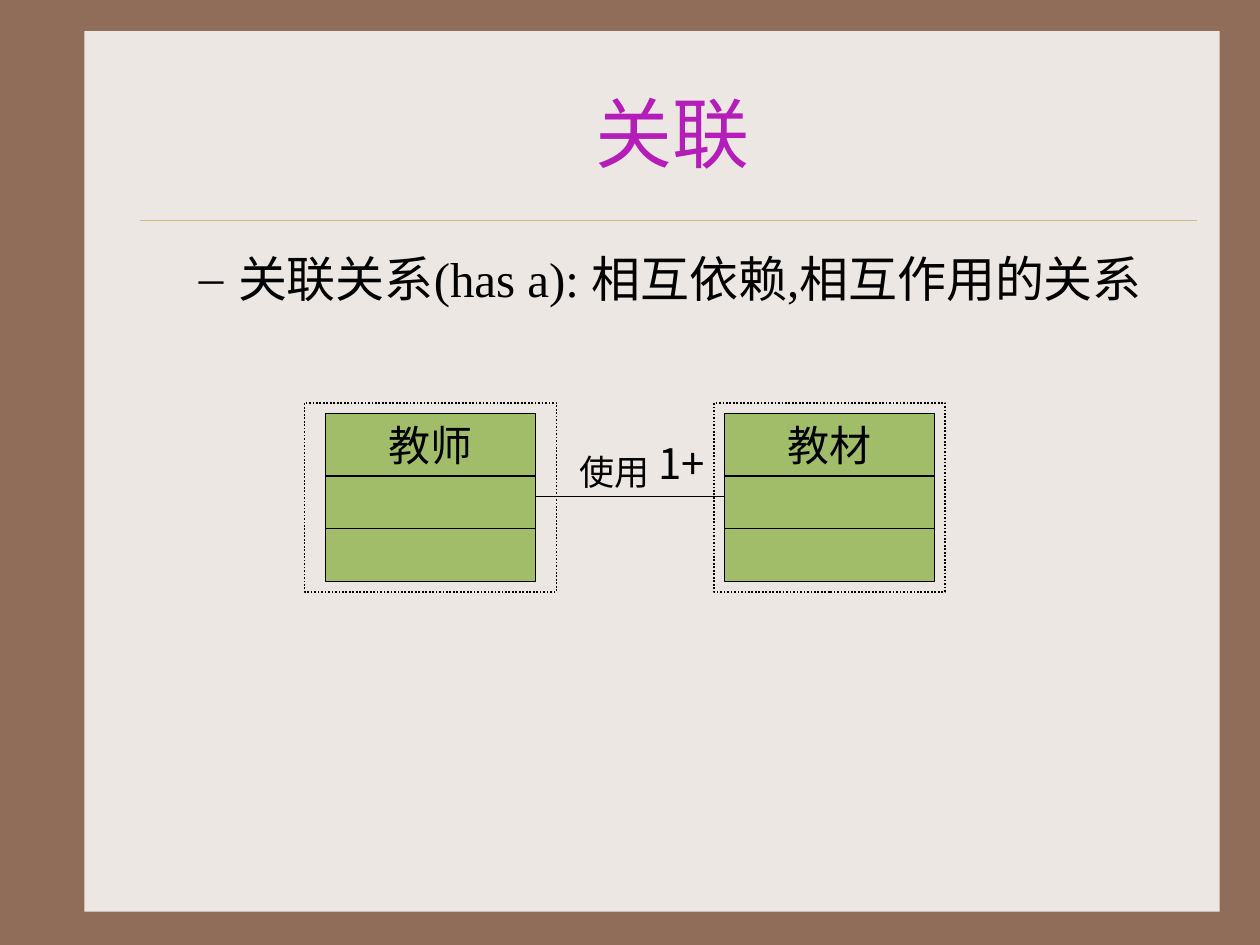
from lxml.etree import SubElement
from pptx import Presentation
from pptx.dml.color import RGBColor
from pptx.enum.dml import MSO_LINE_DASH_STYLE as Dash
from pptx.enum.shapes import MSO_CONNECTOR as Connector, MSO_SHAPE as Shape
from pptx.enum.text import MSO_ANCHOR as Anchor, PP_ALIGN as Align
from pptx.enum.text import MSO_AUTO_SIZE as AutoSize
from pptx.oxml.ns import qn
from pptx.util import Cm, Pt

BROWN = RGBColor(0x90, 0x6D, 0x58)
PAPER = RGBColor(0xED, 0xE7, 0xE3)
SAND = RGBColor(0xCB, 0xBD, 0x83)
GREEN = RGBColor(0xA1, 0xBD, 0x69)
PURPLE = RGBColor(0xB5, 0x1D, 0xB9)
BLACK = RGBColor(0, 0, 0)
SERIF = "Times New Roman"
SANS = "Noto Sans CJK SC"

CLASS_TOP = 8.33
CLASS_WIDTH = 4.23
ROW_HEIGHTS = (1.27, 1.06, 1.06)
FRAME_MARGIN = 0.21


def write(shape, text, size, font=SANS, color=BLACK, align=Align.LEFT):
    shape.text_frame.text = text
    para = shape.text_frame.paragraphs[0]
    para.alignment = align
    span = para.runs[0]
    span.font.size = Pt(size)
    span.font.name = font
    span.font.color.rgb = color
    # Chinese characters take their own font
    SubElement(span.font._element, qn("a:ea"), typeface=SANS)
    return para


def add_box(page, left, top, width, height, fill=None, line=None, weight=0.75):
    box = page.shapes.add_shape(
        Shape.RECTANGLE, Cm(left), Cm(top), Cm(width), Cm(height))
    box.shadow.inherit = False
    if fill is None:
        box.fill.background()
    else:
        box.fill.solid()
        box.fill.fore_color.rgb = fill
    if line is None:
        box.line.fill.background()
    else:
        box.line.color.rgb = line
        box.line.width = Pt(weight)
    return box


def add_text(page, left, top, width, height, text, size, **style):
    box = page.shapes.add_textbox(Cm(left), Cm(top), Cm(width), Cm(height))
    box.text_frame.word_wrap = True
    return box, write(box, text, size, **style)


def add_label(page, left, top, width, height, text, size):
    # A label keeps to one line and grows with its text
    box, _ = add_text(page, left, top, width, height, text, size)
    box.text_frame.word_wrap = False
    box.text_frame.auto_size = AutoSize.SHAPE_TO_FIT_TEXT


def add_line(page, left, right, y, color, weight):
    line = page.shapes.add_connector(
        Connector.STRAIGHT, Cm(left), Cm(y), Cm(right), Cm(y))
    line.line.color.rgb = color
    line.line.width = Pt(weight)
    SubElement(line._element.spPr, qn("a:effectLst"))


def add_dash_bullet(para):
    props = para._p.get_or_add_pPr()
    props.set("marL", str(Cm(2.06)))
    props.set("indent", str(-Cm(0.79)))
    SubElement(props, qn("a:buFont"), typeface=SERIF)
    SubElement(props, qn("a:buChar"), char="–")


def add_class(page, name, left, frame_left, frame_width):
    # Dotted frame around the class
    frame = add_box(page, frame_left, CLASS_TOP - FRAME_MARGIN, frame_width,
                    sum(ROW_HEIGHTS) + 2 * FRAME_MARGIN, line=BLACK, weight=1)
    frame.line.dash_style = Dash.ROUND_DOT

    # Name, attributes and operations
    top = CLASS_TOP
    for label, height in zip((name, "", ""), ROW_HEIGHTS):
        row = add_box(page, left, top, CLASS_WIDTH, height, GREEN, BLACK)
        if label:
            row.text_frame.word_wrap = False
            row.text_frame.vertical_anchor = Anchor.MIDDLE
            write(row, label, 24, align=Align.CENTER)
        top += height


def main():
    deck = Presentation()
    deck.slide_width, deck.slide_height = Cm(25.4), Cm(19.05)
    page = deck.slides.add_slide(deck.slide_layouts[6])

    # Background and rule
    page.background.fill.solid()
    page.background.fill.fore_color.rgb = BROWN
    add_box(page, 1.7, 0.63, 22.89, 17.75, PAPER)
    add_line(page, 2.82, 24.13, 4.44, SAND, 0.25)

    # Title
    title, _ = add_text(page, 2.97, 1.07, 21.16, 3.18, "关联", 44,
                        font=SERIF, color=PURPLE, align=Align.CENTER)
    title.text_frame.vertical_anchor = Anchor.MIDDLE

    # Definition
    _, para = add_text(page, 2.49, 4.88, 22.2, 1.7,
                       "关联关系(has a): 相互依赖,相互作用的关系", 28,
                       font=SERIF)
    para.space_before = Pt(7)
    add_dash_bullet(para)

    # Class diagram
    teacher_left, book_left = 6.56, 14.61
    add_class(page, "教材", book_left, 14.4, 4.65)
    add_class(page, "教师", teacher_left, 6.14, 5.08)
    add_line(page, teacher_left + CLASS_WIDTH, book_left, 10.01, BLACK, 0.75)
    add_label(page, 13.03, 8.69, 1.55, 1.27, "1+", 24)
    add_label(page, 11.43, 8.95, 2, 1.12, "使用", 20)

    deck.save("out.pptx")


if __name__ == "__main__":
    main()
